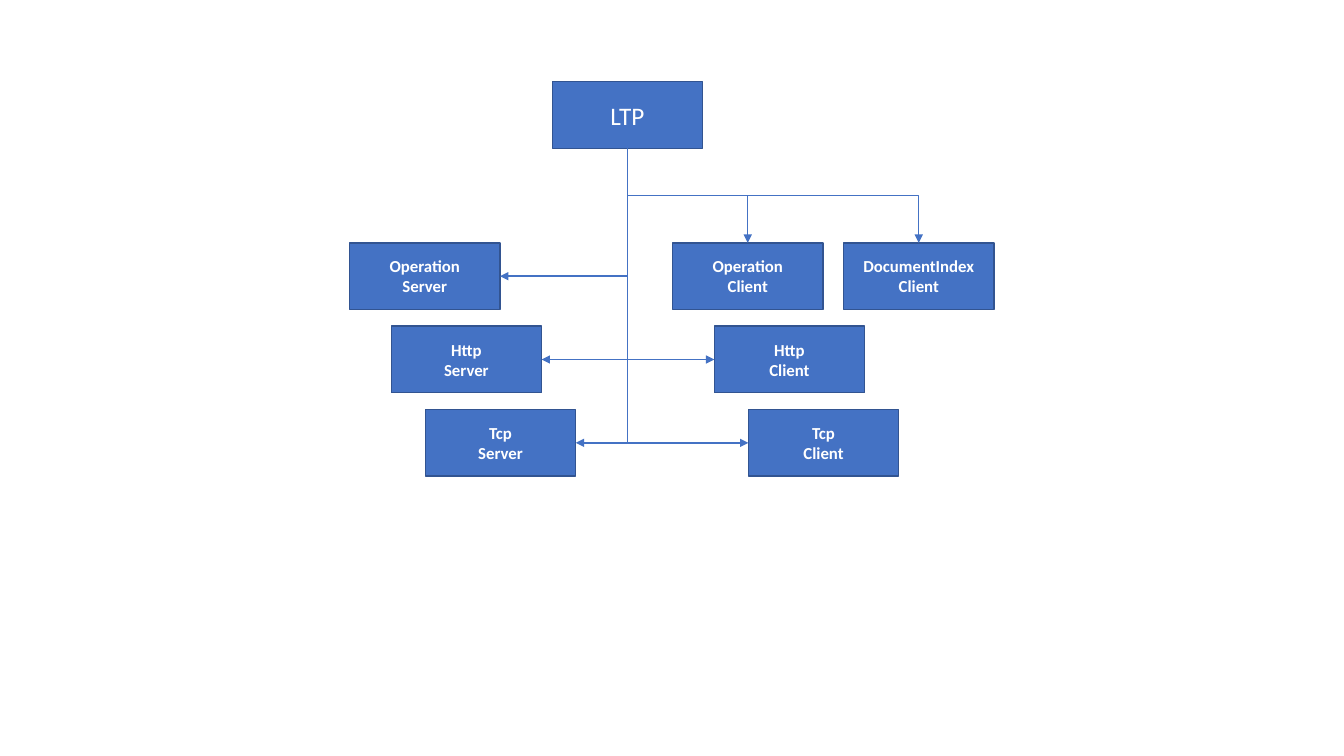
from dataclasses import dataclass

import lxml.etree
import pptx
import pptx.dml.color
import pptx.enum.shapes
import pptx.enum.text
import pptx.oxml.ns
import pptx.util
from pptx.util import Cm

BLUE, EDGE, WHITE = "4472C4", "325491", "FFFFFF"
BOX_W, BOX_H = Cm(3.79), Cm(1.68)
FIRST_ROW, ROW_STEP = 6.12, 2.1
CLIENT_OFFSET = 8.14
TOP, LEFT, BOTTOM, RIGHT = range(4)  # connection sites of a rectangle


@dataclass
class Node:
    lines: list[str]
    x: float
    row: int
    site: int


def rgb(value: str) -> pptx.dml.color.RGBColor:
    return pptx.dml.color.RGBColor.from_string(value)


def add_text(p, text: str, *, size: float, bold: bool = False,
             color: str = WHITE, font: str = "Calibri") -> None:
    p.alignment = pptx.enum.text.PP_ALIGN.CENTER
    r = p.add_run()
    r.text = text
    r.font.name, r.font.size, r.font.bold = font, pptx.util.Pt(size), bold
    r.font.color.rgb = rgb(color)


def add_box(s, lines: list[str], x: float, y: float, *, size: float = 12,
            bold: bool = True):
    sp = s.shapes.add_shape(pptx.enum.shapes.MSO_SHAPE.RECTANGLE,
                            Cm(x), Cm(y), BOX_W, BOX_H)
    sp.shadow.inherit = False
    sp.fill.solid()
    sp.fill.fore_color.rgb = rgb(BLUE)
    sp.line.color.rgb = rgb(EDGE)
    sp.line.width = pptx.util.Pt(1)
    tf = sp.text_frame
    tf.vertical_anchor = pptx.enum.text.MSO_ANCHOR.MIDDLE
    for i, line in enumerate(lines):
        p = tf.add_paragraph() if i else tf.paragraphs[0]
        add_text(p, line, size=size, bold=bold)
    return sp


def add_elbow(s, parent, child, site: int) -> None:
    """Leave the parent's bottom and bend towards a site of the child."""
    c = s.shapes.add_connector(pptx.enum.shapes.MSO_CONNECTOR.ELBOW, 0, 0, 0, 0)
    c.begin_connect(parent, BOTTOM)
    c.end_connect(child, site)
    x1, y1, x2, y2 = c.begin_x, c.begin_y, c.end_x, c.end_y

    # The bend starts downwards, so the frame is turned a quarter about its centre
    c.width, c.height = y2 - y1, abs(x2 - x1)
    c.left = (x1 + x2 - c.width) // 2
    c.top = (y1 + y2 - c.height) // 2
    sp_pr = c._element.spPr
    xfrm = sp_pr.find(pptx.oxml.ns.qn("a:xfrm"))
    to_right = x2 > x1
    xfrm.set("rot", "16200000" if to_right else "5400000")
    xfrm.set("flipH", "1" if to_right else "0")
    xfrm.set("flipV", "0")
    if site != TOP:
        sp_pr.find(pptx.oxml.ns.qn("a:prstGeom")).set("prst", "bentConnector2")

    # Line and arrowhead
    c.line.color.rgb = rgb(BLUE)
    c.line.width = pptx.util.Pt(1)
    ln = sp_pr.find(pptx.oxml.ns.qn("a:ln"))
    lxml.etree.SubElement(ln, pptx.oxml.ns.qn("a:tailEnd"), type="triangle")
    lxml.etree.SubElement(sp_pr, pptx.oxml.ns.qn("a:effectLst"))


prs = pptx.Presentation()
prs.slide_width, prs.slide_height = Cm(33.87), Cm(19.05)
s = prs.slides.add_slide(prs.slide_layouts[6])

# Server and client of each protocol, one row per protocol
protocols = [("Operation", 8.81), ("Http", 9.86), ("Tcp", 10.72)]
servers = [Node([name, "Server"], x, row, RIGHT)
           for row, (name, x) in enumerate(protocols)]
clients = [Node([name, "Client"], x + CLIENT_OFFSET, row, LEFT if row else TOP)
           for row, (name, x) in enumerate(protocols)]
search = Node(["DocumentIndex", "Client"], 21.26, 0, TOP)
nodes = [*servers, *clients, search]

# Boxes
root = add_box(s, ["LTP"], 13.92, 2.06, size=18, bold=False)
boxes = [add_box(s, n.lines, n.x, FIRST_ROW + n.row * ROW_STEP) for n in nodes]

# Connectors from the root to every box
for node, box in zip(nodes, boxes):
    add_elbow(s, root, box, node.site)

prs.save("out.pptx")
